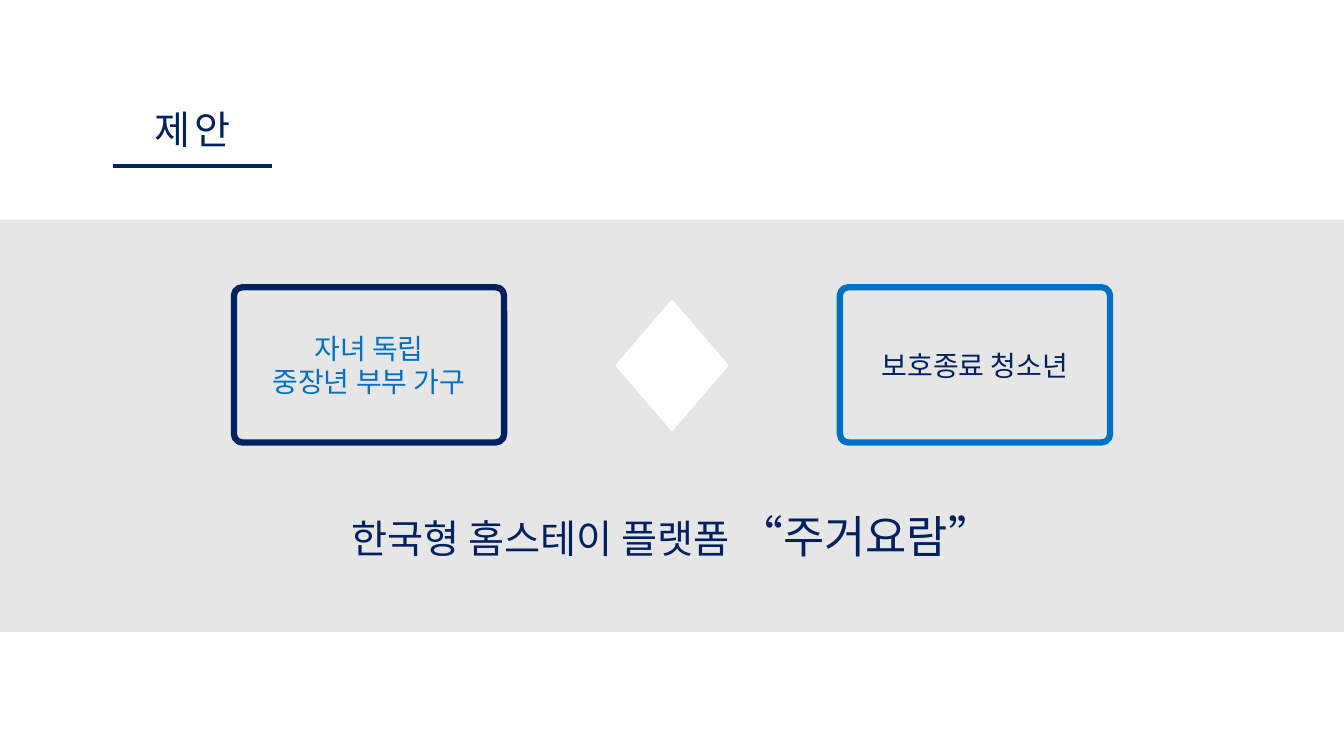
"""Build the proposal slide linking two household groups."""
from lxml.etree import SubElement
from pptx import Presentation
from pptx.dml.color import RGBColor
from pptx.enum.shapes import MSO_CONNECTOR as Connector, MSO_SHAPE as Shape
from pptx.enum.text import MSO_ANCHOR as Anchor, PP_ALIGN as Align
from pptx.oxml.ns import qn
from pptx.util import Inches, Pt

NAVY, BLUE, GRAY, WHITE = "002060", "0070C0", "E7E6E6", "FFFFFF"


def color(value):
    return RGBColor.from_string(value)


class SlideBuilder:
    font = "Noto Sans CJK KR"

    def __init__(self, page):
        self.page = page

    def fill_text(self, frame, paragraphs, ink, spacing=0):
        frame.word_wrap = True
        for index, runs in enumerate(paragraphs):
            para = frame.paragraphs[0] if index == 0 else frame.add_paragraph()
            para.alignment = Align.CENTER
            for text, size in runs:
                span = para.add_run()
                span.text = text
                span.font.size = Pt(size)
                span.font.name = self.font
                span.font.color.rgb = color(ink)
                properties = span.font._element
                SubElement(properties, qn("a:ea")).set("typeface", self.font)
                if spacing:
                    properties.set("spc", str(spacing * 100))

    def text(self, left, top, width, height, paragraphs, ink, spacing=0):
        box = self.page.shapes.add_textbox(
            Inches(left), Inches(top), Inches(width), Inches(height))
        self.fill_text(box.text_frame, paragraphs, ink, spacing)

    def shape(self, kind, left, top, width, height, fill=None, line=None, weight=1):
        box = self.page.shapes.add_shape(
            kind, Inches(left), Inches(top), Inches(width), Inches(height))
        box.shadow.inherit = False
        if fill:
            box.fill.solid()
            box.fill.fore_color.rgb = color(fill)
        else:
            box.fill.background()
        if line:
            box.line.color.rgb = color(line)
            box.line.width = Pt(weight)
        else:
            box.line.fill.background()
        return box

    def card(self, left, lines, ink, border):
        box = self.shape(Shape.ROUNDED_RECTANGLE, left, 2.85, 2.68, 1.54,
                         line=border, weight=4.5)
        box.adjustments[0] = 0.054
        box.text_frame.vertical_anchor = Anchor.MIDDLE
        self.fill_text(box.text_frame, [[(line, 20)] for line in lines], ink)

    def rule(self, left, right, top, ink, weight):
        line = self.page.shapes.add_connector(
            Connector.STRAIGHT, Inches(left), Inches(top), Inches(right), Inches(top))
        line.line.color.rgb = color(ink)
        line.line.width = Pt(weight)
        SubElement(line._element.spPr, qn("a:effectLst"))


def main():
    deck = Presentation()
    deck.slide_width, deck.slide_height = Inches(13.33), Inches(7.5)
    builder = SlideBuilder(deck.slides.add_slide(deck.slide_layouts[6]))

    builder.rule(1.12, 2.7, 1.65, NAVY, 3)
    builder.text(1.02, 1, 1.78, 0.57, [[("제안", 28)]], NAVY, spacing=3)
    builder.shape(Shape.RECTANGLE, 0, 2.18, 13.33, 4.09, fill=GRAY)
    builder.text(1.46, 5, 10.42, 0.64,
                 [[("한국형 홈스테이 플랫폼 ", 28), ("“주거요람”", 32)]], NAVY)
    builder.card(2.32, ["자녀 독립", "중장년 부부 가구"], BLUE, NAVY)
    builder.card(8.33, ["보호종료 청소년"], NAVY, BLUE)
    diamond = builder.shape(Shape.FLOWCHART_SORT, 6.02, 3.07, 1.29, 1.11,
                            fill=WHITE, line=WHITE)
    diamond.rotation = 270

    deck.save("out.pptx")


if __name__ == "__main__":
    main()
